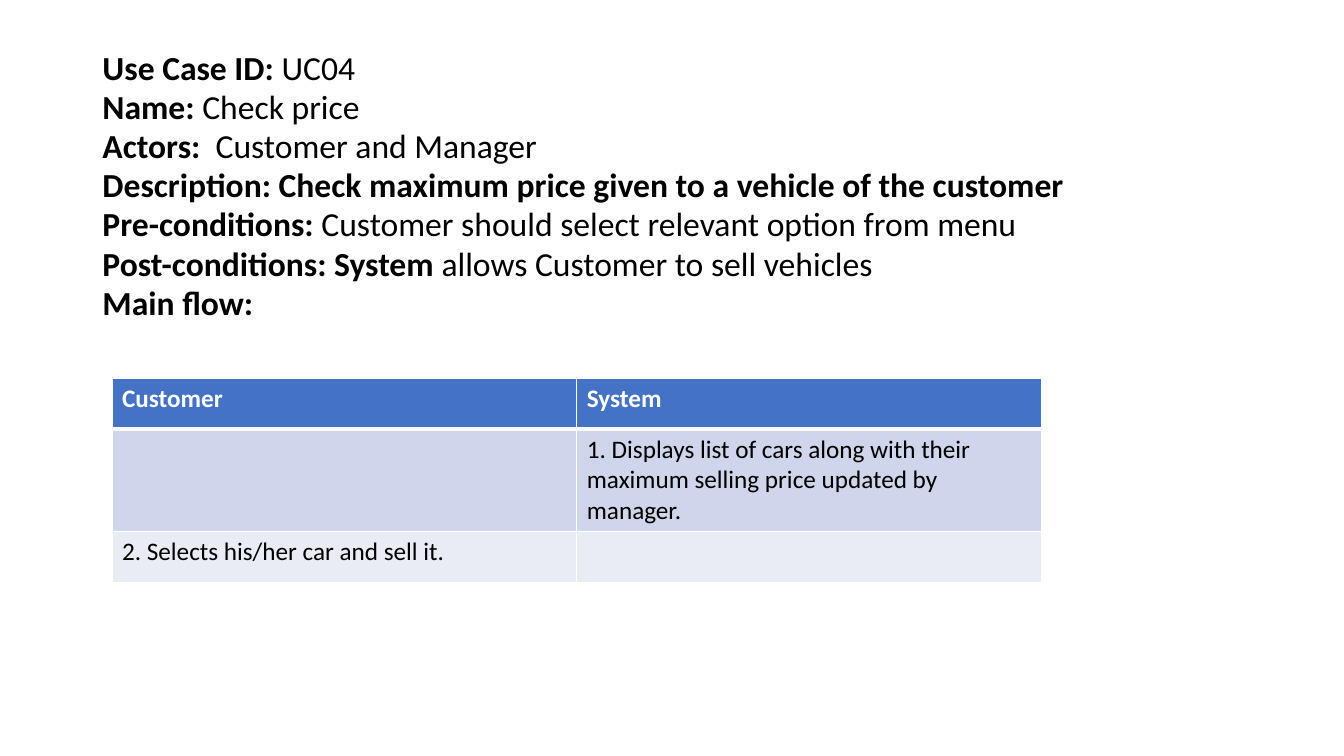
from dataclasses import dataclass

from lxml.etree import SubElement
from pptx import Presentation
from pptx.dml.color import RGBColor
from pptx.enum.text import MSO_ANCHOR as Anchor, MSO_AUTO_SIZE as AutoSize, PP_ALIGN as Align
from pptx.oxml.ns import qn
from pptx.slide import Slide
from pptx.table import _Cell as Cell
from pptx.text.text import _Paragraph as Paragraph
from pptx.util import Pt

FONT = "Calibri"
WHITE, BLACK = "FFFFFF", "000000"
THIN, THICK = 1, 3


@dataclass(frozen=True)
class Field:
    label: str
    value: str = ""


@dataclass(frozen=True)
class FlowRow:
    customer: str
    system: str
    height: float
    fill: str
    color: str = BLACK
    bold: bool = False
    top_border: float = THIN
    bottom_border: float = THIN


FIELDS = [
    Field("Use Case ID: ", "UC04"),
    Field("Name: ", "Check price"),
    Field("Actors:", "  Customer and Manager"),
    Field("Description: Check maximum price given to a vehicle of the customer"),
    Field("Pre-conditions:", " Customer should select relevant option from menu"),
    Field("Post-conditions: System ", "allows Customer to sell vehicles"),
    Field("Main flow:"),
]

FLOW = [
    FlowRow("Customer", "System", 36.5, "4472C4", WHITE, True, bottom_border=THICK),
    FlowRow("", "1. Displays list of cars along with their maximum selling price "
            "updated by manager.", 73, "CFD5EA", top_border=THICK),
    FlowRow("2. Selects his/her car and sell it.", "", 36.5, "E9EBF5"),
]


def rgb(color: str) -> RGBColor:
    return RGBColor.from_string(color)


def set_attributes(target: object, values: dict) -> None:
    for name, value in values.items():
        setattr(target, name, value)


def add_run(paragraph: Paragraph, text: str, size: float, color: str, bold: bool) -> None:
    run = paragraph.add_run()
    run.text = text
    set_attributes(run.font, {"name": FONT, "size": Pt(size), "bold": bold})
    run.font.color.rgb = rgb(color)


def add_use_case_title(slide: Slide) -> None:
    title = slide.shapes.title
    set_attributes(title, {"left": Pt(66), "top": Pt(30), "width": Pt(828), "height": Pt(204)})
    frame = title.text_frame
    set_attributes(frame, {"word_wrap": True, "auto_size": AutoSize.NONE,
                           "vertical_anchor": Anchor.MIDDLE})
    for index, field in enumerate(FIELDS):
        paragraph = frame.add_paragraph() if index else frame.paragraphs[0]
        set_attributes(paragraph, {"alignment": Align.LEFT, "line_spacing": Pt(28),
                                   "space_before": Pt(0)})
        add_run(paragraph, field.label, 24, BLACK, True)
        if field.value:
            add_run(paragraph, field.value, 24, BLACK, False)


def add_borders(cell: Cell, top: float, bottom: float) -> None:
    """Draw white cell borders; call before filling, as lines precede the fill in XML."""
    properties = cell._tc.get_or_add_tcPr()
    for side, width in {"lnL": THIN, "lnR": THIN, "lnT": top, "lnB": bottom}.items():
        line = SubElement(properties, qn(f"a:{side}"), w=str(Pt(width)))
        SubElement(SubElement(line, qn("a:solidFill")), qn("a:srgbClr"), val=WHITE)


def add_flow_table(slide: Slide) -> None:
    height = sum(row.height for row in FLOW)
    table = slide.shapes.add_table(len(FLOW), 2, Pt(80), Pt(270), Pt(664), Pt(height)).table
    for table_row, row in zip(table.rows, FLOW):
        table_row.height = Pt(row.height)
        for cell, text in zip(table_row.cells, (row.customer, row.system)):
            add_borders(cell, row.top_border, row.bottom_border)
            cell.fill.solid()
            cell.fill.fore_color.rgb = rgb(row.fill)
            if text:
                add_run(cell.text_frame.paragraphs[0], text, 18, row.color, row.bold)


def main() -> None:
    presentation = Presentation()
    set_attributes(presentation, {"slide_width": Pt(960), "slide_height": Pt(540)})
    slide = presentation.slides.add_slide(presentation.slide_layouts[5])
    add_use_case_title(slide)
    add_flow_table(slide)
    presentation.save("out.pptx")


if __name__ == "__main__":
    main()
